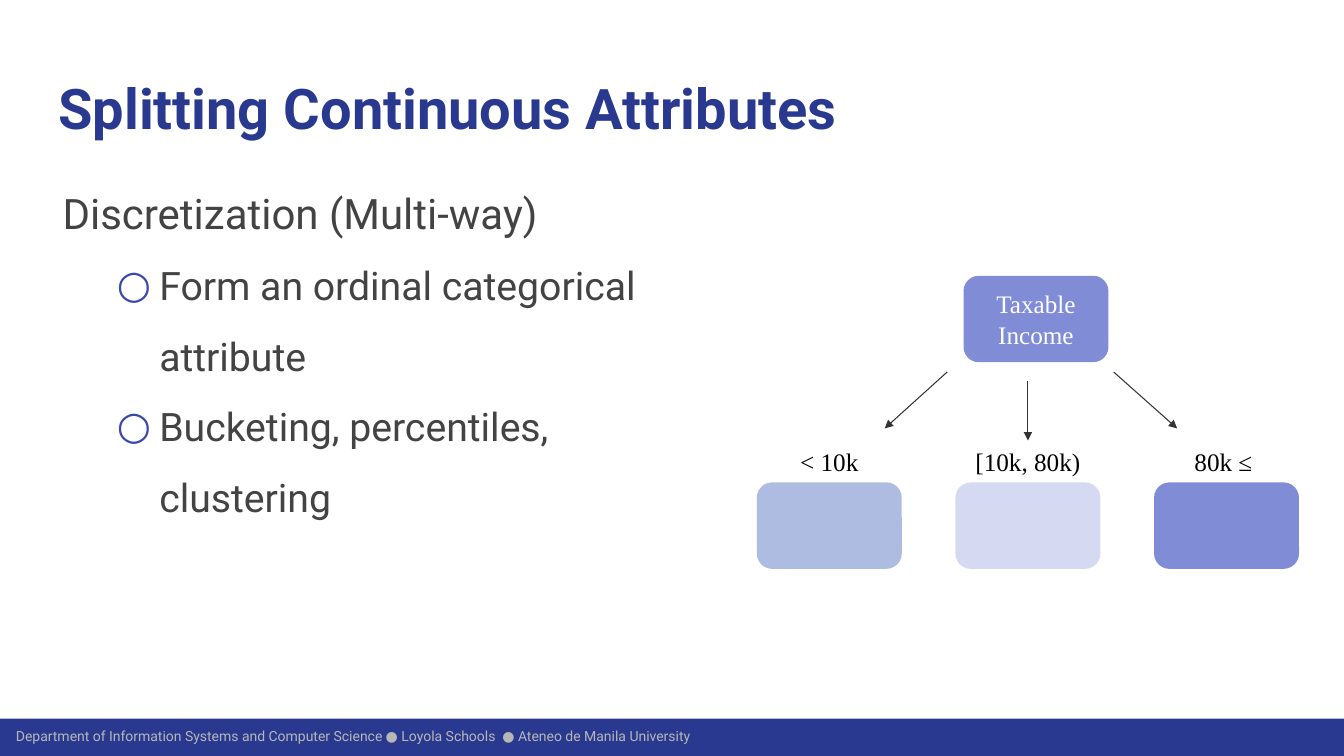
from lxml.etree import SubElement
from pptx import Presentation
from pptx.dml.color import RGBColor
from pptx.enum.shapes import MSO_CONNECTOR, MSO_SHAPE
from pptx.enum.text import MSO_ANCHOR, MSO_AUTO_SIZE, PP_ALIGN
from pptx.oxml.ns import qn
from pptx.util import Inches, Pt

NAVY, PERIWINKLE, INK = "2A3990", "808CD5", "323232"
SANS, SERIF = "Roboto", "Times New Roman"


def color(hex_code):
    return RGBColor.from_string(hex_code)


def place(shape, box):
    shape.left, shape.top, shape.width, shape.height = map(Inches, box)


def write(shape, lines, font=SANS, size=18, fill="000000", bold=False,
          align=PP_ALIGN.LEFT, anchor=MSO_ANCHOR.TOP, inset=None):
    """Write one paragraph per line and return the paragraphs."""
    frame = shape.text_frame
    frame.auto_size = MSO_AUTO_SIZE.NONE
    frame.word_wrap = True
    frame.vertical_anchor = anchor
    if inset is not None:
        frame.margin_left = frame.margin_right = Inches(inset)
        frame.margin_top = frame.margin_bottom = Inches(inset)
    frame.text = "\n".join(lines)
    for paragraph in frame.paragraphs:
        paragraph.alignment = align
        for run in paragraph.runs:
            run.font.name, run.font.size, run.font.bold = font, Pt(size), bold
            run.font.color.rgb = color(fill)
    return frame.paragraphs


def add_block(slide, kind, box, fill):
    block = slide.shapes.add_shape(kind, *map(Inches, box))
    block.shadow.inherit = False
    block.fill.solid()
    block.fill.fore_color.rgb = color(fill)
    block.line.color.rgb = color(fill)
    block.line.width = Pt(2)
    return block


def add_arrow(slide, start, end):
    arrow = slide.shapes.add_connector(
        MSO_CONNECTOR.STRAIGHT, *map(Inches, (*start, *end)))
    arrow.line.color.rgb = color(INK)
    arrow.line.width = Pt(0.75)
    SubElement(arrow.line._get_or_add_ln(), qn("a:tailEnd"), type="triangle")
    SubElement(arrow._element.spPr, qn("a:effectLst"))


def set_indent(paragraph, margin, indent, bullet=None, bullet_color=None):
    props = paragraph._p.get_or_add_pPr()
    props.set("marL", str(Inches(margin)))
    props.set("indent", str(Inches(indent)))
    if bullet:
        tint = SubElement(props, qn("a:buClr"))
        SubElement(tint, qn("a:srgbClr"), val=bullet_color)
        SubElement(props, qn("a:buFont"), typeface=SANS)
        SubElement(props, qn("a:buChar"), char=bullet)
    else:
        SubElement(props, qn("a:buNone"))


def add_footer(slide, box):
    left, top, width, height = box
    band = add_block(slide, MSO_SHAPE.RECTANGLE, box, NAVY)
    band.line.fill.background()
    credit = slide.shapes.add_textbox(
        *map(Inches, (left + 0.06, top + 0.05, 10, 0.24)))
    write(credit, ["Department of Information Systems and Computer Science "
                   "● Loyola Schools  ● Ateneo de Manila University"],
          size=10, fill="B7B7B7", anchor=MSO_ANCHOR.MIDDLE, inset=0.1)


def fill_title(slide, box):
    title = slide.shapes.title
    place(title, box)
    write(title, ["Splitting Continuous Attributes"],
          size=40, fill=NAVY, bold=True, inset=0.13)


def fill_body(slide, box):
    body = slide.placeholders[1]
    place(body, box)
    heading, *points = write(
        body, ["Discretization (Multi-way)",
               "Form an ordinal categorical attribute",
               "Bucketing, percentiles, clustering"],
        size=28, fill="434343", inset=0.13)
    heading.runs[0].font.size = Pt(30)
    for paragraph in (heading, *points):
        paragraph.line_spacing = 1.5
        paragraph.space_before = Pt(0)
    set_indent(heading, 0.04, 0)
    for point in points:
        point.level = 1
        set_indent(point, 1, -0.42, "○", "3949AB")


def add_split_tree(slide, box):
    left, top, width, height = box
    node_width, node_height, label_width = 1.41, 0.83, 1.75
    step = (width - node_width) / 2
    middle = left + width / 2

    # Attribute being split
    attribute = add_block(slide, MSO_SHAPE.ROUNDED_RECTANGLE,
                          (left + 2.05, top, node_width, node_height),
                          PERIWINKLE)
    write(attribute, ["Taxable Income"], font=SERIF, fill="FFFFFF",
          align=PP_ALIGN.CENTER, anchor=MSO_ANCHOR.MIDDLE)

    # Buckets with their ranges above
    buckets = [("< 10k", "AEBCE1"), ("[10k, 80k)", "D5D9F1"),
               ("80k ≤ ", PERIWINKLE)]
    bucket_top = top + height - node_height
    for index, (interval, fill) in enumerate(buckets):
        bucket_left = left + index * step
        add_block(slide, MSO_SHAPE.ROUNDED_RECTANGLE,
                  (bucket_left, bucket_top, node_width, node_height), fill)
        label_left = bucket_left + (node_width - label_width) / 2
        label = slide.shapes.add_textbox(
            *map(Inches, (label_left, bucket_top - 0.42, label_width, 0.4)))
        write(label, [interval], font=SERIF, align=PP_ALIGN.CENTER)

    # Branches
    add_arrow(slide, (middle, top + 1.03), (middle, top + 1.62))
    for start, end in ((-0.8, -1.42), (0.85, 1.48)):
        add_arrow(slide, (middle + start, top + 0.94),
                  (middle + end, top + 1.5))


def main():
    deck = Presentation()
    deck.slide_width, deck.slide_height = Inches(13.33), Inches(7.5)
    slide = deck.slides.add_slide(deck.slide_layouts[1])
    add_footer(slide, (0, 7.13, 13.33, 0.37))
    fill_title(slide, (0.45, 0.6, 12.42, 0.89))
    fill_body(slide, (0.45, 1.48, 6.12, 3.91))
    add_split_tree(slide, (7.52, 2.75, 5.35, 2.88))
    deck.save("out.pptx")


if __name__ == "__main__":
    main()
